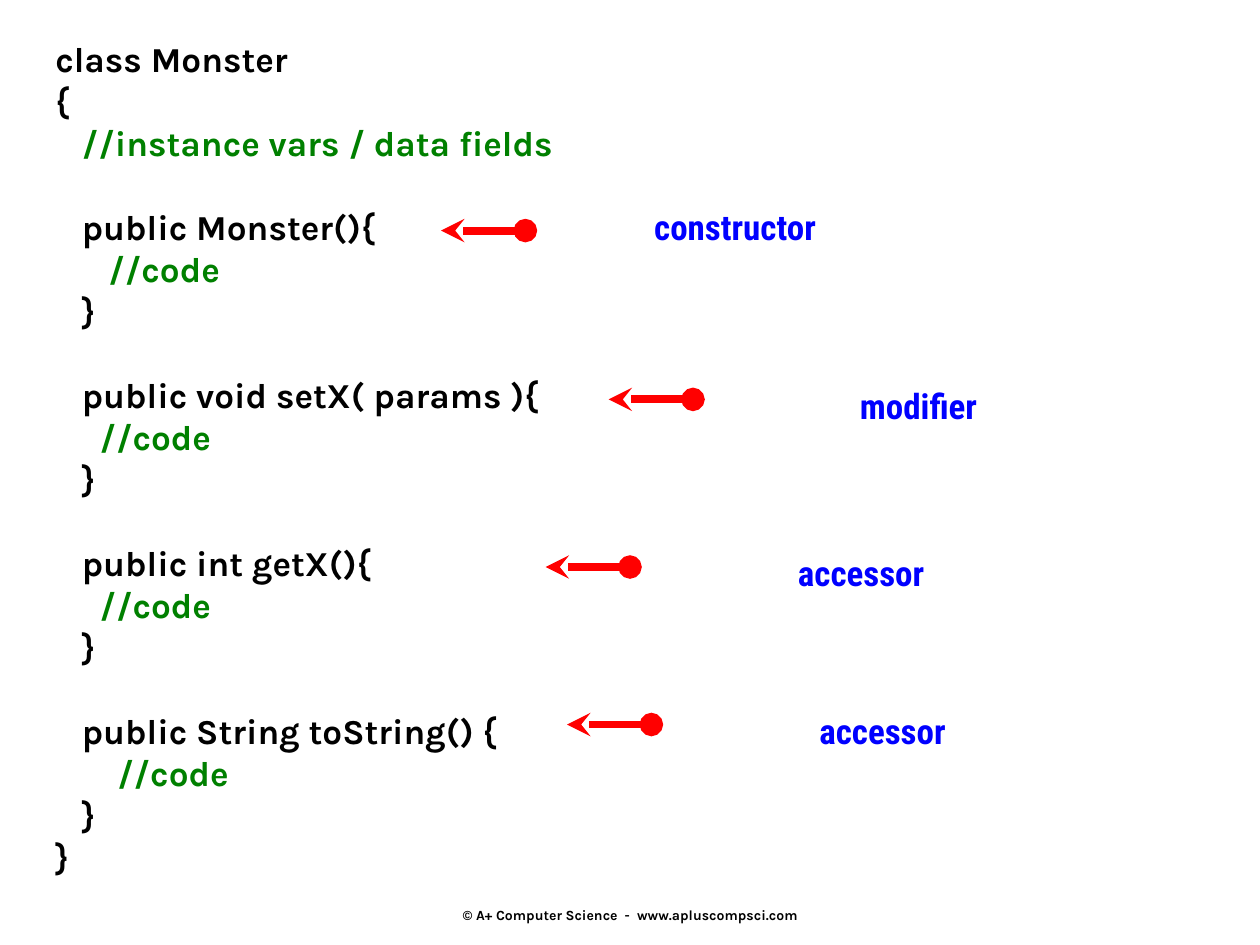
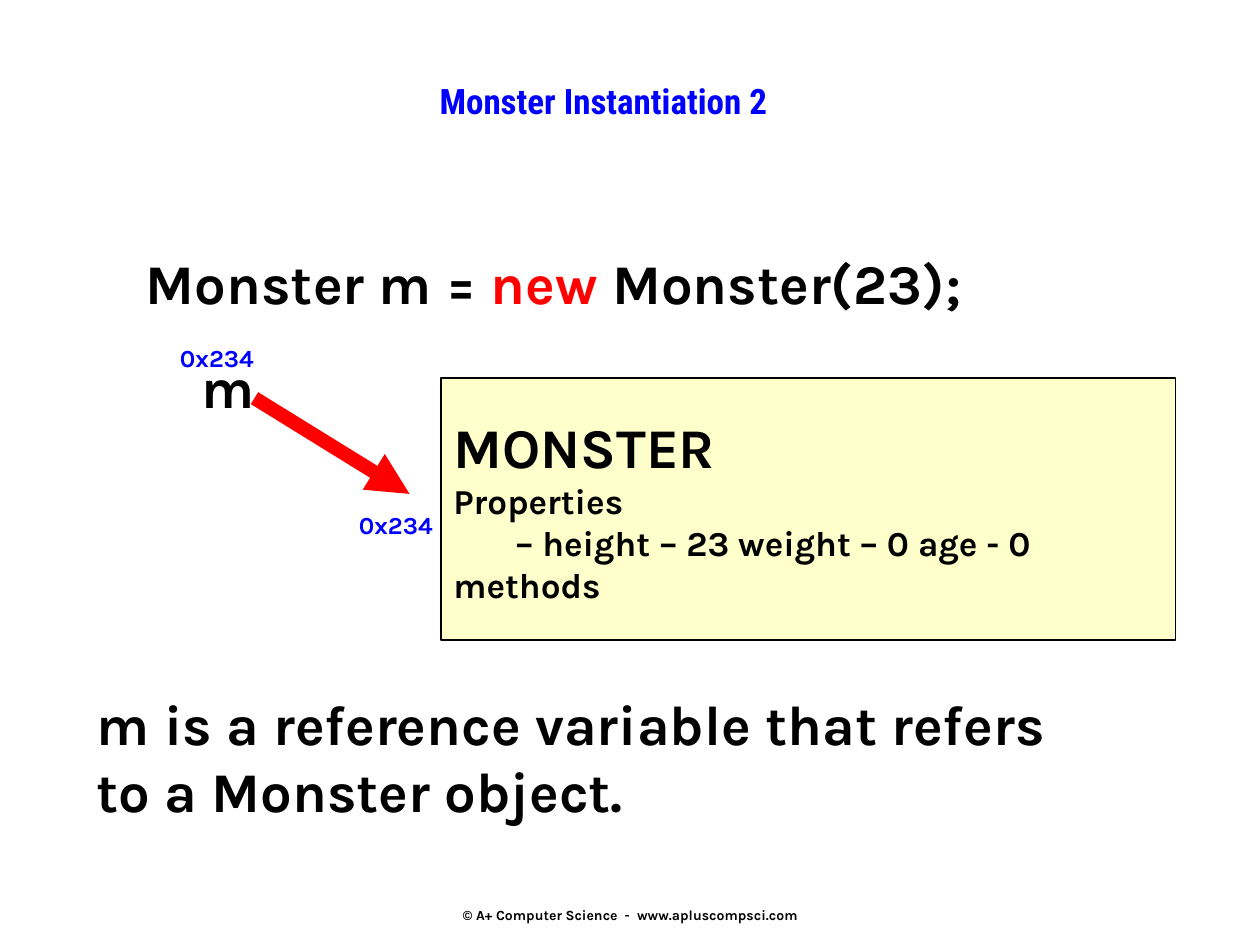
import lxml.etree
import pptx
import pptx.dml.color
import pptx.enum.shapes
import pptx.enum.text
import pptx.oxml.ns
import pptx.util

Inches, Pt = pptx.util.Inches, pptx.util.Pt
Align = pptx.enum.text.PP_ALIGN
Anchor = pptx.enum.text.MSO_ANCHOR
Fit = pptx.enum.text.MSO_AUTO_SIZE
qn = pptx.oxml.ns.qn

BLACK, RED, GREEN, BLUE, CREAM = "000000", "FF0000", "008000", "0000FF", "FFFFCC"
BODY = {"name": "Karla", "bold": True}
CODE = {**BODY, "size": Pt(20)}
BIG = {**BODY, "size": Pt(32)}
TAG = {**BODY, "size": Pt(14)}
FOOT = {**BODY, "size": Pt(8)}
HEAD = {"name": "Roboto Condensed", "bold": True, "size": Pt(20)}

SOURCE = """class Monster
{
   //instance vars / data fields

   public Monster(){
      //code
   }

   public void setX( params ){
     //code
   }

   public int getX(){
     //code
   }

   public String toString() {
       //code
   }
}"""


def rgb(code):
    return pptx.dml.color.RGBColor.from_string(code)


def style(item, form):
    for key, value in form.items():
        setattr(item, key, value)


def place(shape, box):
    style(shape, dict(zip(("left", "top", "width", "height"), map(Inches, box))))


def put(para, form, *runs):
    """Fill a paragraph with (text, colour) runs."""
    for text, tint in runs:
        run = para.add_run()
        run.text = text
        style(run.font, form)
        run.font.color.rgb = rgb(tint)


def line(frame, first):
    return frame.paragraphs[0] if first else frame.add_paragraph()


def frame_at(slide, box, wrap=False, fit=Fit.NONE):
    frame = slide.shapes.add_textbox(*map(Inches, box)).text_frame
    style(frame, {"word_wrap": wrap, "auto_size": fit})
    return frame


def words(slide, box, form, *runs, **kind):
    put(frame_at(slide, box, **kind).paragraphs[0], form, *runs)


def arrow(slide, start, end, width, **ends):
    """Draw a red line; ends maps headEnd and tailEnd to their shapes."""
    link = slide.shapes.add_connector(
        pptx.enum.shapes.MSO_CONNECTOR.STRAIGHT, *map(Inches, start + end))
    link.line.color.rgb = rgb(RED)
    link.line.width = Pt(width)
    props = link._element.spPr
    for name, kind in ends.items():
        lxml.etree.SubElement(props.find(qn("a:ln")), qn("a:" + name), type=kind)
    lxml.etree.SubElement(props, qn("a:effectLst"))


def footer(slide, box):
    frame = frame_at(slide, box)
    style(frame, {"vertical_anchor": Anchor.BOTTOM, "margin_bottom": 0})
    para = frame.paragraphs[0]
    para.alignment = Align.CENTER
    put(para, FOOT, ("© A+ Computer Science  -  www.apluscompsci.com", BLACK))


def listing(slide, box):
    """Set the source code, with a line of space before each block."""
    frame = frame_at(slide, box, fit=Fit.SHAPE_TO_FIT_TEXT)
    for part, block in enumerate(SOURCE.split("\n\n")):
        for row, text in enumerate(block.split("\n")):
            para = line(frame, part + row == 0)
            if part and row == 0:
                para.space_before = Pt(24)
            put(para, CODE, (text, GREEN if "//" in text else BLACK))


def callout(slide, tip, box, text):
    """Point an arrow at tip and set its label in box, offset from tip."""
    x, y = tip
    arrow(slide, (x + 0.67, y), tip, 4.5, headEnd="oval", tailEnd="stealth")
    dx, dy, width, height = box
    para = frame_at(slide, (x + dx, y + dy, width, height)).paragraphs[0]
    para.alignment = Align.CENTER
    put(para, HEAD, (text, BLUE))


def title(slide, box, text):
    shape = slide.shapes.title
    place(shape, box)
    frame = shape.text_frame
    style(frame, {"word_wrap": False, "auto_size": Fit.NONE,
                  "vertical_anchor": Anchor.TOP})
    para = frame.paragraphs[0]
    para.alignment = Align.CENTER
    put(para, HEAD, (text, BLUE))


def monster(slide, box):
    card = slide.shapes.add_shape(
        pptx.enum.shapes.MSO_SHAPE.RECTANGLE, *map(Inches, box))
    card.shadow.inherit = False
    card.fill.solid()
    card.fill.fore_color.rgb = rgb(CREAM)
    card.line.color.rgb = rgb(BLACK)
    card.line.width = Pt(1)
    frame = card.text_frame
    style(frame, {"word_wrap": True, "vertical_anchor": Anchor.MIDDLE})
    rows = (("MONSTER", BIG, 0), ("Properties", CODE, 0),
            ("– height – 23 weight – 0 age - 0", CODE, 0.49), ("methods", CODE, 0))
    for row, (text, form, indent) in enumerate(rows):
        para = line(frame, row == 0)
        para.alignment = Align.LEFT
        para._p.get_or_add_pPr().set("marL", str(Inches(indent)))
        put(para, form, (text, BLACK))


def memory(slide, box):
    """Show the variable m, its address and the object it refers to."""
    x, y, width, height = box
    monster(slide, (x + 2.17, y + 0.33, width - 2.17, height - 0.33))
    arrow(slide, (x + 0.69, y + 0.49), (x + 1.92, y + 1.25), 8, tailEnd="triangle")
    words(slide, (x + 0.17, y + 0.08, 0.63, 0.64), BIG, ("m", BLACK),
          fit=Fit.SHAPE_TO_FIT_TEXT)
    for dx, dy in ((1.42, 1.33), (0, 0)):
        words(slide, (x + dx, y + dy, 0.92, 0.34), TAG, ("0x234", BLUE),
              wrap=True, fit=Fit.SHAPE_TO_FIT_TEXT)


def class_slide(deck):
    slide = deck.slides.add_slide(deck.slide_layouts[6])
    listing(slide, (0.34, 0.25, 4.22, 6.77))
    wide = (0.92, -0.17, 3.17, 0.25)
    for tip, box, text in (
            ((3.5, 1.83), (0.75, -0.25, 3.17, 0.33), "constructor"),
            ((4.83, 3.17), (0.92, -0.17, 3.08, 0.25), "modifier"),
            ((4.33, 4.5), wide, "accessor"),
            ((4.5, 5.75), wide, "accessor")):
        callout(slide, tip, box, text)
    return slide


def object_slide(deck):
    slide = deck.slides.add_slide(deck.slide_layouts[5])
    title(slide, (0.83, 0.58, 7.92, 0.75), "Monster Instantiation 2")
    words(slide, (1.06, 1.92, 6.96, 0.64), BIG, ("Monster m = ", BLACK),
          ("new", RED), (" Monster(23);", BLACK), fit=Fit.SHAPE_TO_FIT_TEXT)
    memory(slide, (1.33, 2.67, 8, 2.41))
    frame = frame_at(slide, (0.67, 5.42, 8.18, 1.17), fit=Fit.SHAPE_TO_FIT_TEXT)
    for row, text in enumerate(("m is a reference variable that refers",
                                "to a Monster object.")):
        put(line(frame, row == 0), BIG, (text, BLACK))
    return slide


def main():
    deck = pptx.Presentation()
    style(deck, {"slide_width": Inches(10), "slide_height": Inches(7.5)})
    for build in (class_slide, object_slide):
        footer(build(deck), (3.42, 6.83, 3.17, 0.5))
    deck.save("out.pptx")


if __name__ == "__main__":
    main()
